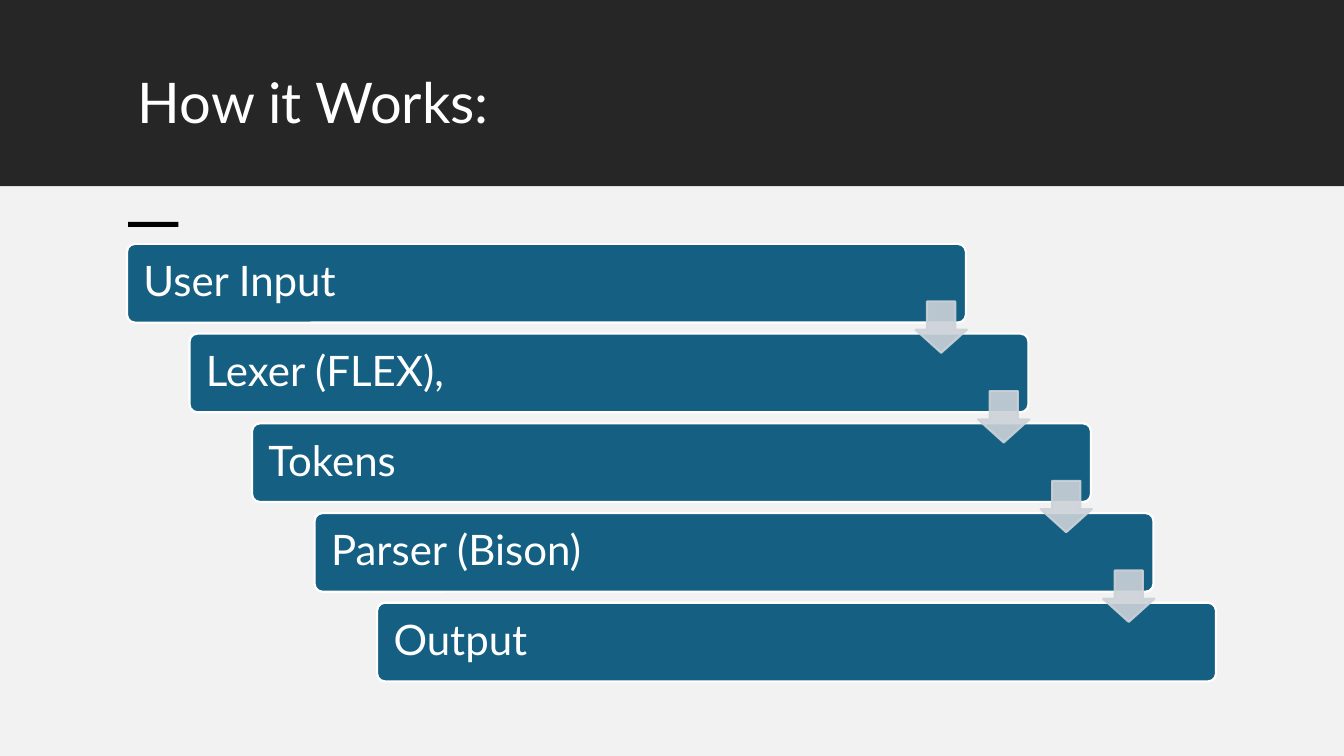
from dataclasses import dataclass

from lxml.etree import SubElement
from pptx import Presentation
from pptx.dml.color import RGBColor
from pptx.enum.shapes import MSO_SHAPE as Shape
from pptx.enum.text import MSO_ANCHOR as Anchor, PP_ALIGN as Align
from pptx.oxml.ns import qn
from pptx.shapes.autoshape import Shape as AutoShape
from pptx.slide import Slide
from pptx.util import Inches, Pt

COLORS = {
    "header": "262626",
    "body": "F2F2F2",
    "accent": "000000",
    "step": "156082",
    "arrow": "CCD2D8",
    "white": "FFFFFF",
}
FONT = "Lato"
STEPS = ["User Input", "Lexer (FLEX),", "Tokens", "Parser (Bison)", "Output"]
STEP_DX, STEP_DY = 0.62, 0.89


@dataclass
class Box:
    left: float
    top: float
    width: float
    height: float

    def shifted(self, n: int) -> "Box":
        """Return the box moved n steps down the staircase."""
        return Box(self.left + n * STEP_DX, self.top + n * STEP_DY, self.width, self.height)

    def lengths(self) -> list[int]:
        return [Inches(v) for v in (self.left, self.top, self.width, self.height)]


PANELS = [
    (Box(0, -0.01, 13.33, 1.86), "header"),
    (Box(0, 1.85, 13.33, 5.65), "body"),
    (Box(1.27, 2.2, 0.5, 0.05), "accent"),
]
TITLE = Box(1.27, 0.7, 10.81, 0.98)
FIRST_STEP = Box(1.26, 2.42, 8.32, 0.78)
FIRST_ARROW = Box(9.08, 2.99, 0.51, 0.51)


def rgb(name: str) -> RGBColor:
    return RGBColor.from_string(COLORS[name])


def add_filled(s: Slide, kind: Shape, box: Box, fill: str, line: str | None = None) -> AutoShape:
    sp = s.shapes.add_shape(kind, *box.lengths())
    sp.shadow.inherit = False
    sp.fill.solid()
    sp.fill.fore_color.rgb = rgb(fill)
    if line:
        sp.line.color.rgb = rgb(line)
        sp.line.width = Pt(1.5)
    else:
        sp.line.fill.background()
    return sp


def write(sp: AutoShape, text: str, size: int, anchor: Anchor) -> None:
    tf = sp.text_frame
    tf.word_wrap = True
    tf.vertical_anchor = anchor
    p = tf.paragraphs[0]
    p.text = text
    p.alignment = Align.LEFT
    p.line_spacing = 0.9
    p.font.name = FONT
    p.font.size = Pt(size)
    p.font.color.rgb = rgb("white")


def add_step(s: Slide, n: int, text: str) -> None:
    sp = add_filled(s, Shape.ROUNDED_RECTANGLE, FIRST_STEP.shifted(n), "step", "white")
    sp.adjustments[0] = 0.1
    sp.text_frame.margin_left = Inches(0.14)
    write(sp, text, 30, Anchor.MIDDLE)


def add_arrow(s: Slide, n: int) -> None:
    """Draw the translucent arrow from step n to the next one."""
    sp = add_filled(s, Shape.DOWN_ARROW, FIRST_ARROW.shifted(n), "arrow", "arrow")
    sp.adjustments[0] = 0.55
    sp.adjustments[1] = 0.45
    for color in sp.element.spPr.iter(qn("a:srgbClr")):
        SubElement(color, qn("a:alpha"), val="90000")


def main() -> None:
    prs = Presentation()
    prs.slide_width, prs.slide_height = Inches(13.33), Inches(7.5)
    s = prs.slides.add_slide(prs.slide_layouts[6])
    for box, fill in PANELS:
        add_filled(s, Shape.RECTANGLE, box, fill)
    write(s.shapes.add_textbox(*TITLE.lengths()), "How it Works:", 40, Anchor.TOP)
    for n, text in enumerate(STEPS):
        add_step(s, n, text)
    for n in range(len(STEPS) - 1):
        add_arrow(s, n)
    prs.save("out.pptx")


if __name__ == "__main__":
    main()
